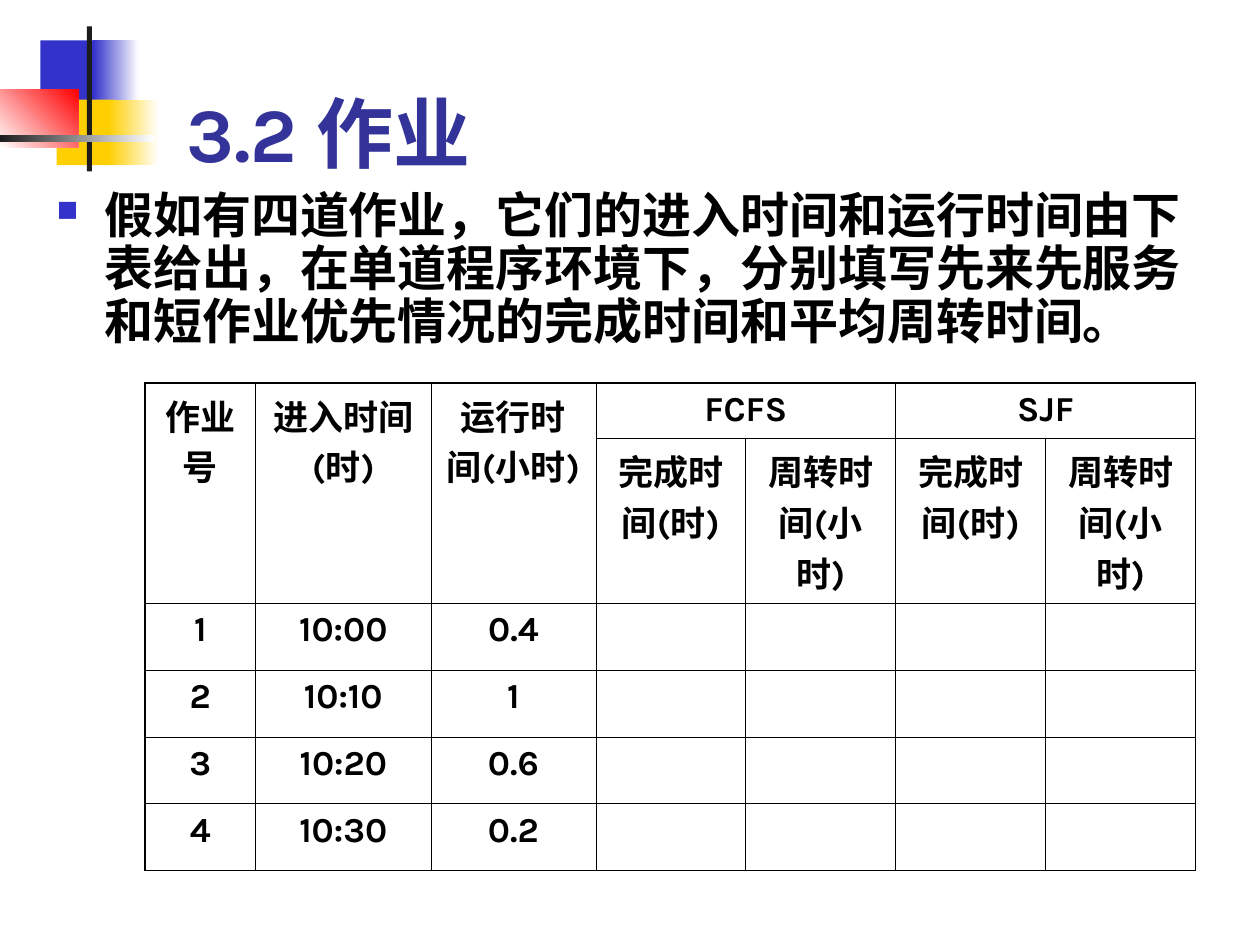
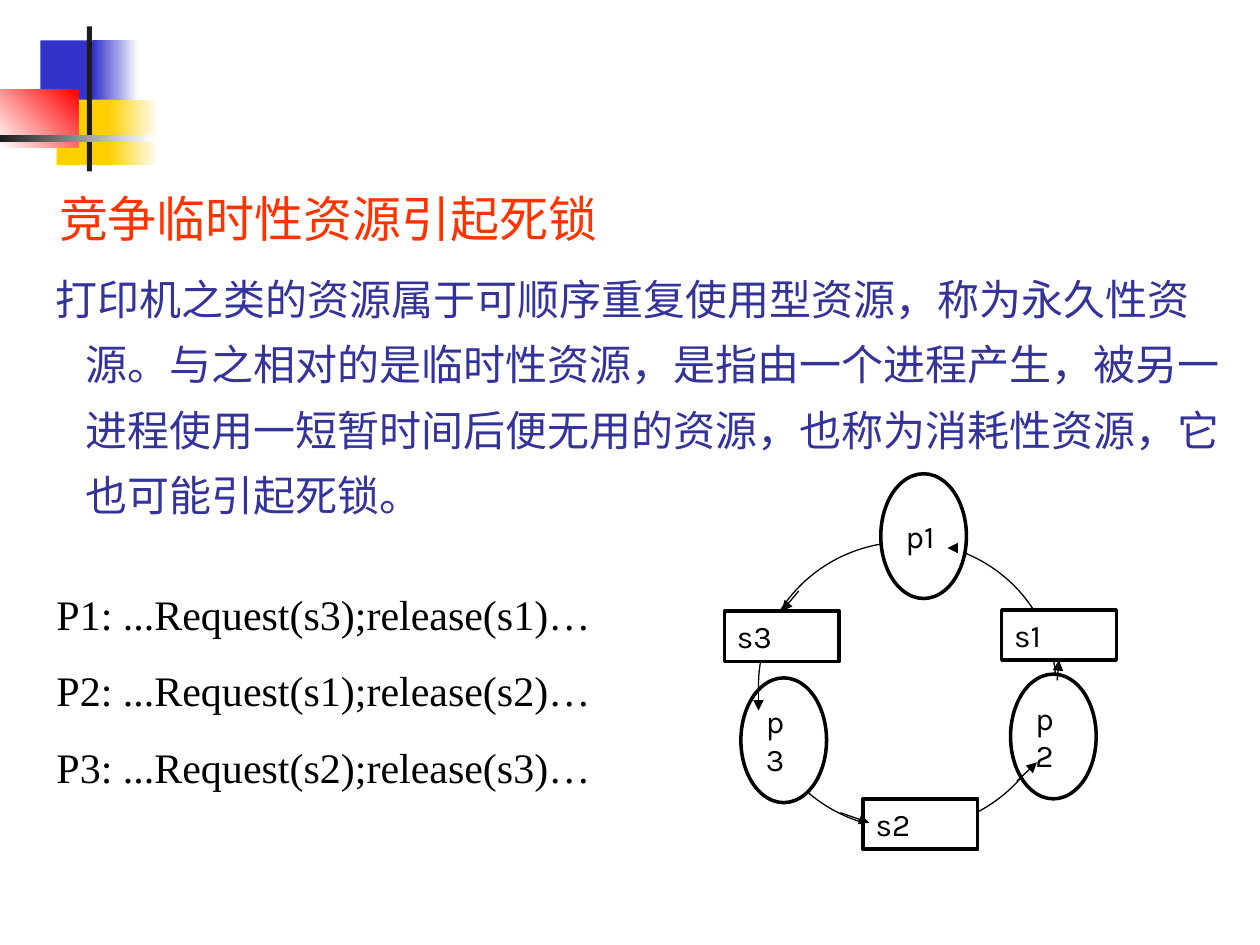
from lxml import etree
from pptx import Presentation
from pptx import util as u
from pptx.dml.color import RGBColor
from pptx.enum import shapes, text
from pptx.oxml import ns

BLUE = RGBColor(0x33, 0x33, 0xCC)
NAVY = RGBColor(0x33, 0x33, 0x99)
YELLOW = RGBColor(0xFF, 0xCF, 0x01)
RED = RGBColor(0xFF, 0x00, 0x00)
ORANGE = RGBColor(0xFF, 0x33, 0x00)
CHARCOAL = RGBColor(0x1C, 0x1C, 0x1C)
BLACK = RGBColor(0x00, 0x00, 0x00)
WHITE = RGBColor(0xFF, 0xFF, 0xFF)

LATIN = "Karla"
CHINESE = "Noto Sans CJK SC"
SERIF = "Times New Roman"

DECORATION = [
    ((0.32, 0.32, 0.48, 0.52), (BLUE,), 0),
    ((0.74, 0.32, 0.36, 0.52), (BLUE, WHITE), 0),
    ((0.45, 0.79, 0.46, 0.52), (YELLOW,), 0),
    ((0.86, 0.79, 0.4, 0.52), (YELLOW, WHITE), 0),
    ((0, 0.71, 0.62, 0.46), (WHITE, RED), 45),
    ((0.69, 0.21, 0.04, 1.15), (CHARCOAL,), 0),
    ((0, 1.07, 1.22, 0.06), (CHARCOAL, WHITE), 0),
]

COLUMN_WIDTHS = [0.88, 1.39, 1.31] + [1.19] * 4
ROW_HEIGHTS = [0.44, 1.31] + [0.53] * 4
TIMES = ["完成时间(时)", "周转时间(小时)"]
JOBS = [
    ["作业号", "进入时间(时)", "运行时间(小时)", "FCFS", "", "SJF", ""],
    ["", "", ""] + TIMES * 2,
    ["1", "10:00", "0.4"],
    ["2", "10:10", "1"],
    ["3", "10:20", "0.6"],
    ["4", "10:30", "0.2"],
]
MERGES = [(0, column, 1, column) for column in range(3)] + [(0, 3, 0, 4), (0, 5, 0, 6)]

RESOURCES = {"s3": (5.75, 4.85), "s1": (7.95, 4.84), "s2": (6.85, 6.34)}
PROCESSES = {"p3": (5.88, 5.38), "p2": (8.02, 5.35), "p1": (6.99, 3.76)}
ARROWS = [
    ((6.67, 6.45), (6.9, 6.53), None),
    ((6.02, 5.4), (6.02, 5.64), None),
    ((6.34, 4.69), (6.18, 4.85), ("s3", 0)),
    ((7.6, 4.35), (7.52, 4.35), None),
    ((8.39, 5.4), (8.39, 5.25), ("s1", 2)),
    ((8.07, 6.2), (8.23, 6.05), None),
]


def inches(values):
    """Convert a sequence of numbers to lengths."""
    return [u.Inches(value) for value in values]


def write(paragraph, words, size=18, color=BLACK, font=LATIN, bold=False,
          align=None, line_spacing=None, before=None, indent=None, bullet=False):
    """Fill a paragraph with one formatted run."""
    properties = paragraph._p.get_or_add_pPr()
    if indent:
        left, first = inches(indent)
        properties.set("marL", str(left))
        properties.set("indent", str(first))
    paragraph.alignment = align
    if line_spacing:
        paragraph.line_spacing = line_spacing
    if before:
        paragraph.space_before = u.Pt(before)
    if bullet:
        color_element = etree.SubElement(properties, ns.qn("a:buClr"))
        etree.SubElement(color_element, ns.qn("a:srgbClr"), val=str(BLUE))
        etree.SubElement(properties, ns.qn("a:buSzPct"), val="60000")
        etree.SubElement(properties, ns.qn("a:buFont"), typeface="Wingdings",
                         pitchFamily="2", charset="2")
        etree.SubElement(properties, ns.qn("a:buChar"), char="n")
    run = paragraph.add_run()
    run.text = words
    run.font.size = u.Pt(size)
    run.font.bold = bold
    run.font.color.rgb = color
    run.font.name = font
    if font != SERIF:
        etree.SubElement(run._r.get_or_add_rPr(), ns.qn("a:ea"), typeface=CHINESE)


def add_text(slide, box, paragraphs, anchor=text.MSO_ANCHOR.TOP):
    """Add a wrapping text box from (words, format) pairs."""
    frame = slide.shapes.add_textbox(*inches(box)).text_frame
    frame.word_wrap = True
    frame.vertical_anchor = anchor
    for index, (words, style) in enumerate(paragraphs):
        paragraph = frame.add_paragraph() if index else frame.paragraphs[0]
        write(paragraph, words, **style)


def add_shape(slide, kind, box, colors=(), angle=0, line=None):
    """Add a shape with no, plain or two-colour gradient fill."""
    shape = slide.shapes.add_shape(kind, *inches(box))
    shape.shadow.inherit = False
    if len(colors) == 2:
        shape.fill.gradient()
        shape.fill.gradient_angle = angle
        for stop, color in zip(shape.fill.gradient_stops, colors):
            stop.color.rgb = color
    elif colors:
        shape.fill.solid()
        shape.fill.fore_color.rgb = colors[0]
    else:
        shape.fill.background()
    if line:
        shape.line.color.rgb = BLACK
        shape.line.width = u.Pt(line)
    else:
        shape.line.fill.background()
    return shape


def add_node(slide, kind, position, size, label):
    """Add a labelled node of the resource graph."""
    node = add_shape(slide, kind, position + size, (WHITE,), line=2)
    node.text_frame.word_wrap = True
    node.text_frame.vertical_anchor = text.MSO_ANCHOR.MIDDLE
    write(node.text_frame.paragraphs[0], label, align=text.PP_ALIGN.LEFT)
    return node


def add_arrow(slide, start, end):
    """Add a thin straight arrow."""
    arrow = slide.shapes.add_connector(shapes.MSO_CONNECTOR.STRAIGHT, *inches(start + end))
    arrow.line.color.rgb = BLACK
    arrow.line.width = u.Pt(0.75)
    etree.SubElement(arrow.line._get_or_add_ln(), ns.qn("a:tailEnd"), type="triangle")
    etree.SubElement(arrow._element.spPr, ns.qn("a:effectLst"))
    return arrow


def set_borders(cell, outer_sides):
    """Draw thin cell borders, thicker on the outer sides."""
    properties = cell._tc.get_or_add_tcPr()
    for index, side in enumerate("LRTB"):
        width = u.Pt(1.08 if side in outer_sides else 0.45)
        line = etree.Element(ns.qn(f"a:ln{side}"), w=str(width))
        fill = etree.SubElement(line, ns.qn("a:solidFill"))
        etree.SubElement(fill, ns.qn("a:srgbClr"), val=str(BLACK))
        properties.insert(index, line)


def add_job_table(slide):
    """Add the scheduling table with merged headings."""
    box = (1.15, 3.04, sum(COLUMN_WIDTHS), sum(ROW_HEIGHTS))
    rows, columns = len(ROW_HEIGHTS), len(COLUMN_WIDTHS)
    table = slide.shapes.add_table(rows, columns, *inches(box)).table
    table.first_row = table.horz_banding = False
    for column, width in zip(table.columns, inches(COLUMN_WIDTHS)):
        column.width = width
    for row, height in zip(table.rows, inches(ROW_HEIGHTS)):
        row.height = height
    for top, left, bottom, right in MERGES:
        table.cell(top, left).merge(table.cell(bottom, right))
    for row in range(rows):
        for column in range(columns):
            cell = table.cell(row, column)
            cell.fill.background()
            edges = {"L": column == 0, "R": column + cell.span_width == columns,
                     "T": row == 0, "B": row == rows - 1}
            set_borders(cell, [side for side, outer in edges.items() if outer])
    for row, labels in enumerate(JOBS):
        for column, label in enumerate(labels):
            if label:
                write(table.cell(row, column).text_frame.paragraphs[0], label,
                      size=20, bold=True, align=text.PP_ALIGN.CENTER)


def add_resource_graph(slide):
    """Add the ring of processes and resources."""
    oval, rectangle = shapes.MSO_SHAPE.OVAL, shapes.MSO_SHAPE.RECTANGLE
    add_shape(slide, oval, (6.02, 4.3, 2.36, 2.28), line=0.75)
    resources = {label: add_node(slide, rectangle, position, (0.91, 0.4), label)
                 for label, position in RESOURCES.items()}
    for label, position in PROCESSES.items():
        add_node(slide, oval, position, (0.68, 0.99), label)
    for start, end, target in ARROWS:
        arrow = add_arrow(slide, start, end)
        if target:
            label, side = target
            arrow.end_connect(resources[label], side)


def add_decorated_slide(presentation):
    """Add a blank slide with the shared corner decoration."""
    slide = presentation.slides.add_slide(presentation.slide_layouts[6])
    for box, colors, angle in DECORATION:
        add_shape(slide, shapes.MSO_SHAPE.RECTANGLE, box, colors, angle)
    return slide


def add_homework_slide(presentation):
    """Build the scheduling exercise."""
    slide = add_decorated_slide(presentation)
    add_text(slide, (1.38, 0.21, 9.34, 1.25),
             [("3.2 作业", dict(size=44, color=NAVY, bold=True))],
             anchor=text.MSO_ANCHOR.BOTTOM)
    question = ("假如有四道作业，它们的进入时间和运行时间由下表给出，在单道程序环境下，"
                "分别填写先来先服务和短作业优先情况的完成时间和平均周转时间。")
    add_text(slide, (0.35, 1.47, 9.39, 1.43),
             [(question, dict(size=28, bold=True, line_spacing=0.9,
                              indent=(0.38, -0.38), bullet=True))])
    add_job_table(slide)


def add_deadlock_slide(presentation):
    """Build the explanation of deadlock on temporary resources."""
    slide = add_decorated_slide(presentation)
    explanation = ("打印机之类的资源属于可顺序重复使用型资源，称为永久性资源。与之相对的是"
                   "临时性资源，是指由一个进程产生，被另一进程使用一短暂时间后便无用的资源，"
                   "也称为消耗性资源，它也可能引起死锁。")
    shared = dict(font=CHINESE, line_spacing=1.3)
    add_text(slide, (0.2, 1.31, 9.61, 1.97), [
        ("竞争临时性资源引起死锁",
         dict(shared, size=28, color=ORANGE, indent=(0.38, -0.21))),
        (explanation,
         dict(shared, size=24, color=NAVY, before=6, indent=(0.38, -0.24))),
    ])
    add_resource_graph(slide)
    requests = [(1, 3, 1), (2, 1, 2), (3, 2, 3)]
    add_text(slide, (0.35, 4.62, 5.04, 2.33), [
        (f"P{process}: ...Request(s{wanted});release(s{freed})…",
         dict(size=24, font=SERIF, before=15 if process > 1 else None))
        for process, wanted, freed in requests
    ])


def main():
    """Build and save the presentation."""
    presentation = Presentation()
    presentation.slide_width, presentation.slide_height = inches((10, 7.5))
    add_homework_slide(presentation)
    add_deadlock_slide(presentation)
    presentation.save("out.pptx")


if __name__ == "__main__":
    main()
